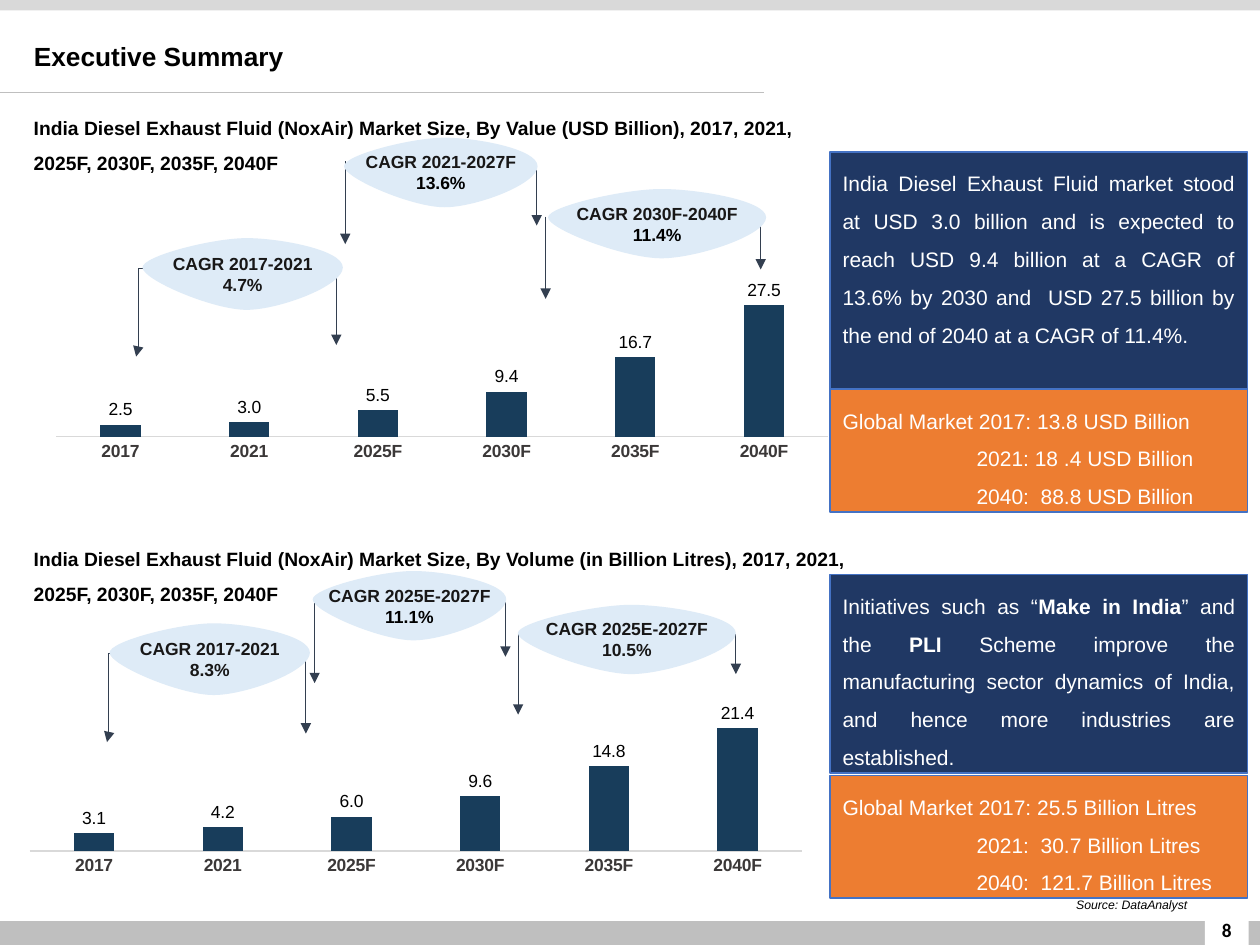
from lxml import etree
from pptx import Presentation
from pptx.chart.data import CategoryChartData
from pptx.dml.color import RGBColor
from pptx.enum import chart as ch, shapes, text
from pptx.oxml import parse_xml
from pptx.oxml.ns import nsdecls, qn
from pptx.util import Pt

BLACK = RGBColor(0x00, 0x00, 0x00)
WHITE = RGBColor(0xFF, 0xFF, 0xFF)
GREY = RGBColor(0xBF, 0xBF, 0xBF)
PALE = RGBColor(0xD9, 0xD9, 0xD9)
NAVY = RGBColor(0x20, 0x38, 0x64)
ORANGE = RGBColor(0xED, 0x7D, 0x31)
EDGE = RGBColor(0x44, 0x72, 0xC4)
SLATE = RGBColor(0x33, 0x3F, 0x50)
SKY = RGBColor(0xDE, 0xEB, 0xF7)
INK = RGBColor(0x18, 0x17, 0x17)
BAR = RGBColor(0x18, 0x3D, 0x5B)
LABEL = RGBColor(0x3B, 0x38, 0x38)
LEFT, MID = text.PP_ALIGN.LEFT, text.PP_ALIGN.CENTER
JUST, RIGHT = text.PP_ALIGN.JUSTIFY, text.PP_ALIGN.RIGHT
TOP, CENTER = text.MSO_ANCHOR.TOP, text.MSO_ANCHOR.MIDDLE

deck = Presentation()
deck.slide_width, deck.slide_height = Pt(720), Pt(540)
slide = deck.slides.add_slide(deck.slide_layouts[5])
items = slide.shapes


def write(shape, lines, size, color, align=LEFT, space=1.0, anchor=TOP,
          bold=None, font="Arial"):
    """Fill a shape with paragraphs; words between asterisks are bold."""
    frame = shape.text_frame
    frame.word_wrap = True
    frame.auto_size = text.MSO_AUTO_SIZE.NONE
    frame.vertical_anchor = anchor
    for i, line in enumerate(lines):
        para = frame.add_paragraph() if i else frame.paragraphs[0]
        para.alignment, para.line_spacing = align, space
        para.font.name, para.font.size = font, Pt(size)
        para.font.color.rgb, para.font.bold = color, bold
        for j, part in enumerate(line.split("*")):
            run = para.add_run()
            run.text = part
            if j % 2:
                run.font.bold = True
    return frame.paragraphs


def link(kind, x1, y1, x2, y2, color):
    """Draw a thin connector without shadow."""
    line = items.add_connector(kind, Pt(x1), Pt(y1), Pt(x2), Pt(y2))
    line.line.color.rgb, line.line.width = color, Pt(0.5)
    etree.SubElement(line._element.spPr, qn("a:effectLst"))
    return line


# Page frame
for x, y, w, h, color in [(-2.9, 526.3, 723.6, 13.7, GREY), (0, 0, 721.4, 6, PALE),
                          (688.5, 513.5, 25, 27, WHITE)]:
    bar = items.add_shape(shapes.MSO_SHAPE.RECTANGLE, Pt(x), Pt(y), Pt(w), Pt(h))
    bar.shadow.inherit = False
    bar.fill.solid()
    bar.fill.fore_color.rgb = color
    bar.line.fill.background()
page = items.add_textbox(Pt(683.3), Pt(517), Pt(35.3), Pt(28.8))
write(page, ["8"], 11, BLACK, MID, anchor=CENTER, bold=True, font="Calibri")
link(shapes.MSO_CONNECTOR.STRAIGHT, 0, 53, 436.8, 53, GREY)

title = items.title
title.left, title.top, title.width, title.height = Pt(12.2), Pt(15), Pt(584), Pt(36)
write(title, ["Executive Summary"], 15, BLACK, space=0.9, anchor=CENTER, bold=True)

# Chart headings
for y, unit in [(56.5, "Value (USD Billion)"), (302.7, "Volume (in Billion Litres)")]:
    head = items.add_textbox(Pt(12.2), Pt(y), Pt(480), Pt(44.6))
    write(head, [f"India Diesel Exhaust Fluid (NoxAir) Market Size, By {unit}, "
                 "2017, 2021, 2025F, 2030F, 2035F, 2040F"],
          11, BLACK, space=1.5, bold=True)

# Column charts
years = ["2017", "2021", "2025F", "2030F", "2035F", "2040F"]
for x, y, top, vals in [(31.7, 147.3, 30, [2.5, 3.0, 5.5, 9.4, 16.7, 27.5]),
                        (16.6, 384.1, 25, [3.1, 4.2, 6.0, 9.6, 14.8, 21.4])]:
    data = CategoryChartData(number_format="0.0")
    data.categories = years
    data.add_series("Series 1", vals)
    chart = items.add_chart(ch.XL_CHART_TYPE.COLUMN_CLUSTERED, Pt(x), Pt(y),
                            Pt(442), Pt(146.2), data).chart
    chart.has_legend = chart.has_title = False
    chart.font.name, chart.font.size = "Calibri", Pt(10)
    chart.font.color.rgb = BLACK
    val, cat = chart.value_axis, chart.category_axis
    val.minimum_scale, val.maximum_scale = 0, top
    val.has_major_gridlines = val.visible = False
    cat.major_tick_mark = ch.XL_TICK_MARK.NONE
    cat.format.line.color.rgb, cat.format.line.width = PALE, Pt(0.75)
    font = cat.tick_labels.font
    font.name, font.size, font.bold = "Arial", Pt(10), True
    font.color.rgb = LABEL
    plot = chart.plots[0]
    plot.gap_width, plot.overlap, plot.vary_by_categories = 219, -27, False
    fill = plot.series[0].format.fill
    fill.solid()
    fill.fore_color.rgb = BAR
    plot.has_data_labels = True
    tags = plot.data_labels
    tags.show_value, tags.position = True, ch.XL_LABEL_POSITION.OUTSIDE_END
    tags.number_format, tags.number_format_is_linked = "0.0", False
    tags.font.name, tags.font.size = "Arial", Pt(10)
    tags.font.color.rgb = BLACK
    area = chart._chartSpace.chart.plotArea
    for old in area.findall(qn("c:layout")):
        area.remove(old)
    area.insert(0, parse_xml(
        f'<c:layout {nsdecls("c")}><c:manualLayout><c:layoutTarget val="inner"/>'
        '<c:xMode val="edge"/><c:yMode val="edge"/><c:x val="0"/><c:y val="0.14"/>'
        '<c:w val="1"/><c:h val="0.56"/></c:manualLayout></c:layout>'))

# Growth arrows: straight drops as x, top, bottom; elbows as x1, y1, x2, y2
drops = [(434.7, 122.4, 154), (192.2, 154.8, 197.2), (306.7, 97.2, 128.9),
         (197.3, 92.2, 139.5), (311.8, 123.8, 170.8),
         (420.5, 362.2, 385.2), (174.8, 376.6, 419.2), (296.1, 361.4, 408.4),
         (288.8, 344.2, 375.3), (179.8, 343.4, 390.4)]
elbows = [(181.4, 153.4, 77.8, 203.8), (164.9, 373.7, 61.2, 424.1)]
arrows = [link(shapes.MSO_CONNECTOR.STRAIGHT, x, y1, x, y2, SLATE)
          for x, y1, y2 in drops]
for ends in elbows:
    arrow = link(shapes.MSO_CONNECTOR.ELBOW, *ends, SLATE)
    guide = etree.SubElement(arrow._element.spPr.prstGeom.get_or_add_avLst(), qn("a:gd"))
    guide.set("name", "adj1")
    guide.set("fmla", "val 99000")
    arrows.append(arrow)
for arrow in arrows:
    etree.SubElement(arrow.line._get_or_add_ln(), qn("a:tailEnd")).set("type", "triangle")

# Growth bubbles: one outline of four curves, scaled to each size
start = (0, .41)
curves = [((0, .25), (.35, 0), (.52, 0)), ((.68, 0), (1, .16), (1, .41)),
          ((1, .67), (.68, 1), (.52, 1)), ((.35, 1), (0, .58), start)]
bubbles = [(62.6, 356.2, 114.5, 41, "2017-2021", "8.3%", INK),
           (295.9, 345.6, 124.6, 39.6, "2025E-2027F", "10.5%", INK),
           (196.6, 78.7, 110.6, 39.8, "2021-2027F", "13.6%", BLACK),
           (81.4, 136.1, 114.5, 41, "2017-2021", "4.7%", INK),
           (313.2, 108, 124.6, 39.6, "2030F-2040F", "11.4%", BLACK),
           (178.7, 326.3, 110.6, 39.6, "2025E-2027F", "11.1%", BLACK)]
for x, y, w, h, span, rate, color in bubbles:
    ends = [(Pt(x + w * a), Pt(y + h * b)) for a, b in [start] + [c[-1] for c in curves]]
    build = items.build_freeform(*ends[0])
    build.add_line_segments(ends[1:], close=True)
    blob = build.convert_to_shape()
    # Turn the straight segments into Bezier curves
    for seg, curve in zip(list(blob._element.iter(qn("a:lnTo"))), curves):
        seg.tag = qn("a:cubicBezTo")
        for child in list(seg):
            seg.remove(child)
        for a, b in curve:
            point = etree.SubElement(seg, qn("a:pt"))
            point.set("x", str(Pt(w * a)))
            point.set("y", str(Pt(h * b)))
    blob.shadow.inherit = False
    blob.fill.solid()
    blob.fill.fore_color.rgb = SKY
    blob.line.fill.background()
    paras = write(blob, [f"CAGR {span}", rate], 10, INK, MID, anchor=CENTER, bold=True)
    paras[1].font.color.rgb = color

# Side panels
panels = [
    (86.9, 135.4, NAVY, [
        "India Diesel Exhaust Fluid market stood at USD 3.0 billion and is expected "
        "to reach USD 9.4 billion at a CAGR of 13.6% by 2030 and  USD 27.5 billion "
        "by the end of 2040 at a CAGR of 11.4%."]),
    (328.3, 113.6, NAVY, [
        "Initiatives such as “*Make in India*” and the *PLI* Scheme improve the "
        "manufacturing sector dynamics of India, and hence more industries are "
        "established."]),
    (222.5, 70, ORANGE, ["Global Market 2017: 13.8 USD Billion",
                         "2021: 18 .4 USD Billion", "2040:  88.8 USD Billion"]),
    (443.1, 70, ORANGE, ["Global Market 2017: 25.5 Billion Litres",
                         "2021:  30.7 Billion Litres", "2040:  121.7 Billion Litres"])]
for y, h, color, lines in panels:
    panel = items.add_shape(shapes.MSO_SHAPE.RECTANGLE, Pt(474.4), Pt(y), Pt(238.5), Pt(h))
    panel.shadow.inherit = False
    panel.fill.solid()
    panel.fill.fore_color.rgb = color
    panel.line.color.rgb, panel.line.width = EDGE, Pt(1)
    for para in write(panel, lines, 12, WHITE, JUST, 1.5)[1:]:
        para._p.get_or_add_pPr().set("marL", str(Pt(76.6)))

source = items.add_textbox(Pt(571.7), Pt(509), Pt(113.8), Pt(15.8))
write(source, ["Source: DataAnalyst"], 7, BLACK, RIGHT)[0].font.italic = True

deck.save("out.pptx")
